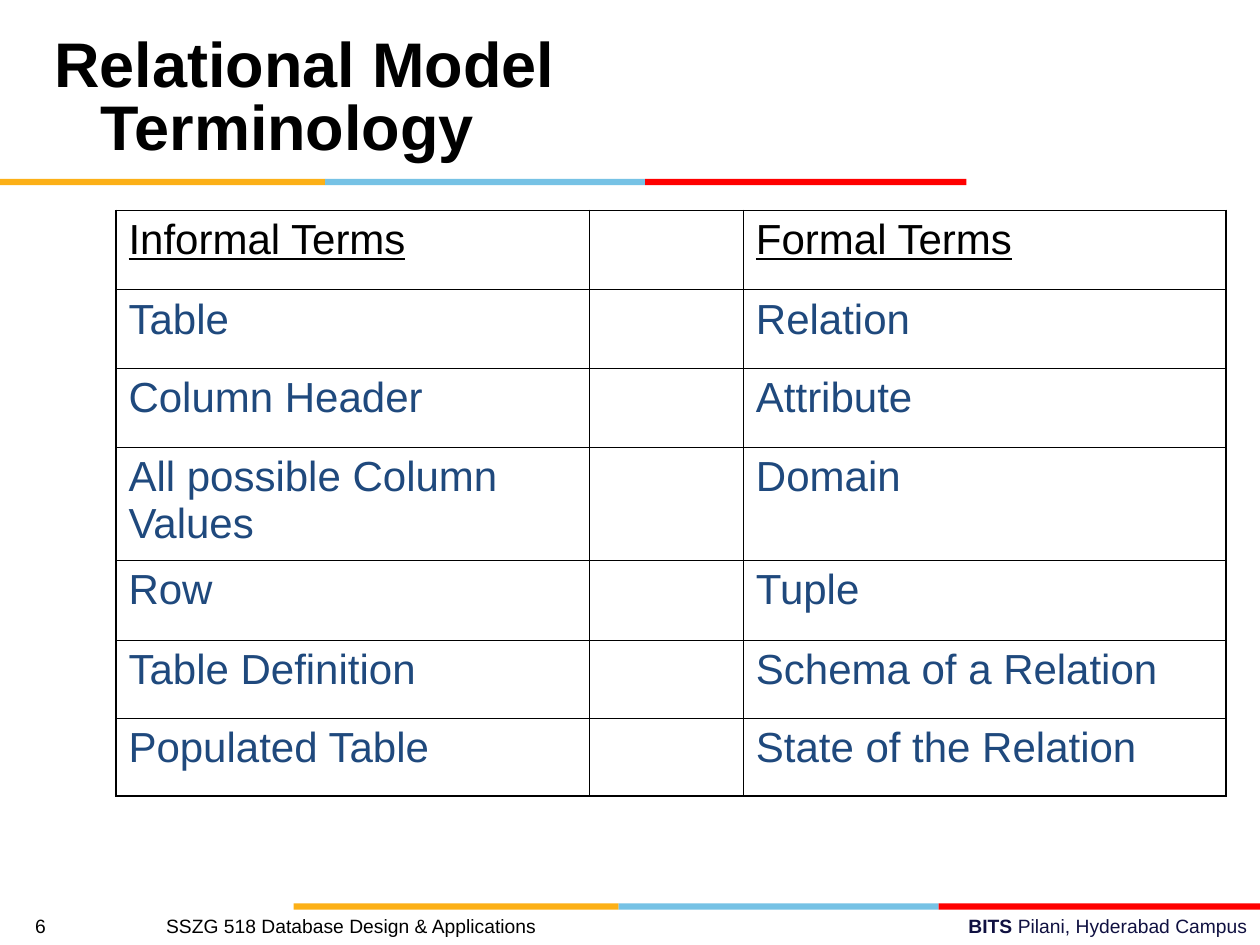
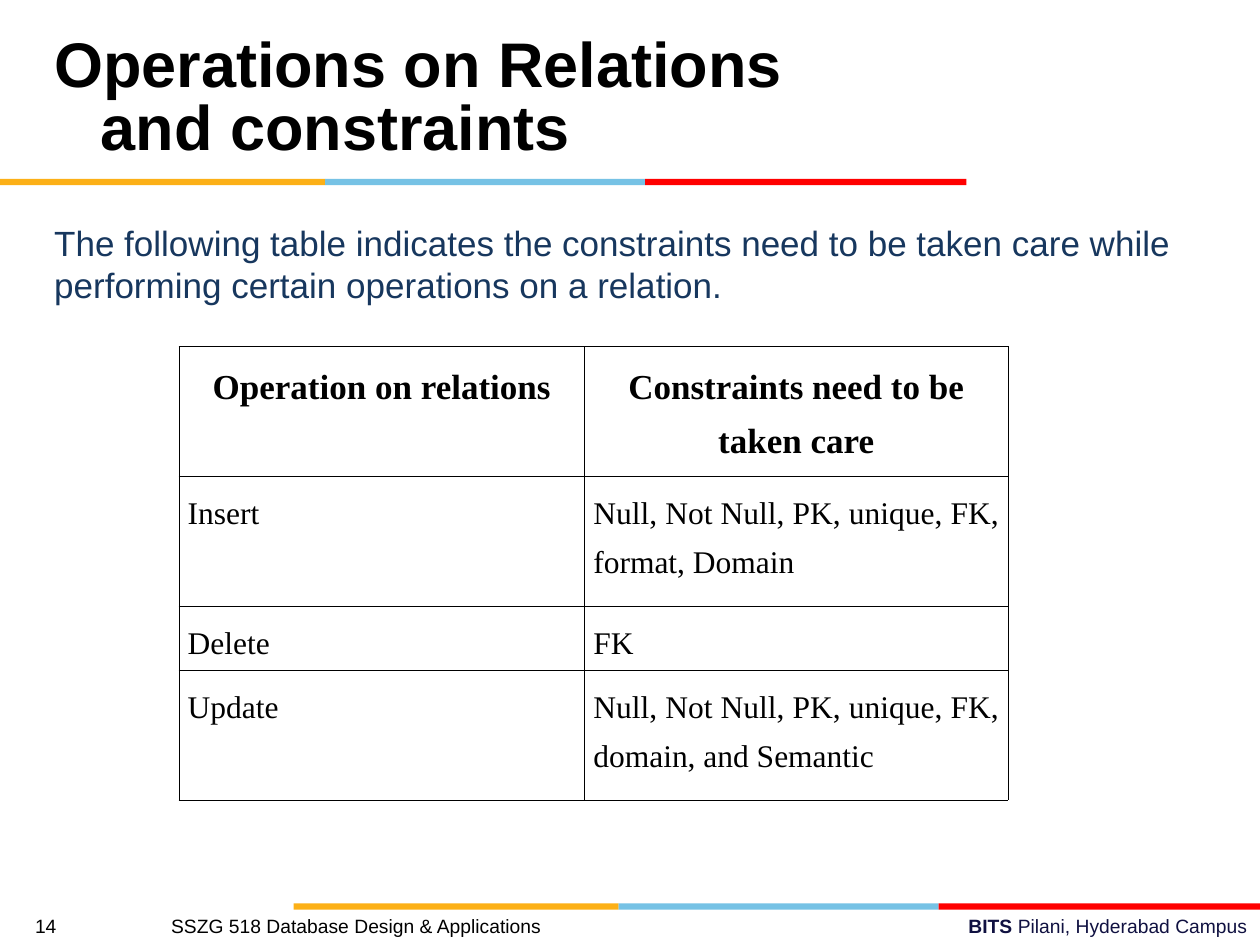
import pptx
import pptx.util
import pptx.dml.color
import pptx.enum.shapes
import pptx.enum.text
from lxml import etree

Inches, Pt = pptx.util.Inches, pptx.util.Pt
ALIGN = pptx.enum.text.PP_ALIGN
ANCHOR = pptx.enum.text.MSO_ANCHOR
A = "http://schemas.openxmlformats.org/drawingml/2006/main"

COLORS = {"black": "000000", "amber": "FCB017", "sky": "76C2E5", "red": "FF0000",
          "navy": "101141", "blue": "1F497D", "deep_blue": "17375E"}

COURSE = "SSZG 518 Database Design & Applications"
CAMPUS = [("BITS ", True), ("Pilani, Hyderabad Campus", False)]
BAND = [("amber", 2.58), ("sky", 2.54), ("red", 2.55)]
BAND_STARTS = [(0, 1.42), (2.33, 7.17)]

SLIDES = [
    dict(
        title="Relational Model Terminology", number="6", course_tab=1.04,
        table=dict(
            at=(0.92, 1.67), cols=[3.76, 1.22, 3.83],
            heights=[0.63, 0.62, 0.63, 0.9, 0.63, 0.62, 0.62],
            inset=0.1, outer=1.08,
            head=dict(size=24, underline=True),
            body=dict(size=24, color="blue"),
            rows=[("Informal Terms", "", "Formal Terms"),
                  ("Table", "", "Relation"),
                  ("Column Header", "", "Attribute"),
                  ("All possible Column Values", "", "Domain"),
                  ("Row", "", "Tuple"),
                  ("Table Definition", "", "Schema of a Relation"),
                  ("Populated Table", "", "State of the Relation")]),
    ),
    dict(
        title="Operations on Relations and constraints", number="14", course_tab=1.08,
        intro=["The following table indicates the constraints need to be taken care while",
               "performing certain operations on a relation."],
        table=dict(
            at=(1.42, 2.75), cols=[3.22, 3.36], heights=[1.03, 1.03, 0.51, 1.03],
            inset=0.07, outer=0.45,
            head=dict(size=20, bold=True, font="Times New Roman",
                      align=ALIGN.CENTER, line=1.4, after=2),
            body=dict(size=18, font="Times New Roman",
                      align=ALIGN.JUSTIFY, line=1.4, after=2),
            rows=[("Operation on relations", "Constraints need to be taken care"),
                  ("Insert", "Null, Not Null, PK, unique, FK, format, Domain"),
                  ("Delete", "FK"),
                  ("Update", "Null, Not Null, PK, unique, FK, domain, and Semantic")]),
    ),
]


def write(p, text, size=11, color="black", font="Arial", bold=False, underline=False,
          align=ALIGN.LEFT, line=None, after=0):
    """Append a formatted run to paragraph p and set the paragraph's spacing."""
    p.alignment = align
    p.space_before, p.space_after = Pt(0), Pt(after)
    if line:
        p.line_spacing = line
    r = p.add_run()
    r.text = text
    f = r.font
    f.name, f.size, f.bold, f.underline = font, Pt(size), bold, underline
    f.color.rgb = pptx.dml.color.RGBColor.from_string(COLORS[color])


def place(shape, left, top, width, height):
    shape.left, shape.top = Inches(left), Inches(top)
    shape.width, shape.height = Inches(width), Inches(height)


def frame(shape, anchor):
    tf = shape.text_frame
    tf.word_wrap = True
    tf.auto_size = pptx.enum.text.MSO_AUTO_SIZE.NONE
    tf.vertical_anchor = anchor
    return tf


def indent(p, left, first):
    pPr = p._p.get_or_add_pPr()
    pPr.set("marL", str(Inches(left)))
    pPr.set("indent", str(Inches(first)))
    return pPr


def add_title(s, text):
    place(s.shapes.title, 0.33, 0.17, 6.92, 1.25)
    p = frame(s.shapes.title, ANCHOR.MIDDLE).paragraphs[0]
    indent(p, 0.37, -0.37)
    write(p, text, size=36, bold=True, line=Pt(36))


def add_intro(s, lines):
    body = s.placeholders[1]
    place(body, 0.33, 1.71, 9.14, 0.77)
    tf = frame(body, ANCHOR.MIDDLE)
    for i, text in enumerate(lines):
        p = tf.add_paragraph() if i else tf.paragraphs[0]
        etree.SubElement(indent(p, 0, 0), f"{{{A}}}buNone")
        write(p, text, size=20, color="deep_blue", align=ALIGN.JUSTIFY)


def add_bands(s):
    for left, top in BAND_STARTS:
        for color, width in BAND:
            bar = s.shapes.add_shape(pptx.enum.shapes.MSO_SHAPE.RECTANGLE, Inches(left),
                                     Inches(top), Inches(width), Inches(0.05))
            bar.shadow.inherit = False
            bar.fill.solid()
            bar.fill.fore_color.rgb = pptx.dml.color.RGBColor.from_string(COLORS[color])
            bar.line.fill.background()
            left += width


def add_footer(s, number, course_tab):
    def footer_paragraph(left, width):
        box = s.shapes.add_textbox(Inches(left), Inches(7.21), Inches(width), Inches(0.29))
        return frame(box, ANCHOR.TOP).paragraphs[0]

    p = footer_paragraph(3.58, 6.42)
    for text, bold in CAMPUS:
        write(p, text, color="navy", bold=bold, align=ALIGN.RIGHT)
    p = footer_paragraph(0.18, 4.6)
    tabs = etree.SubElement(p._p.get_or_add_pPr(), f"{{{A}}}tabLst")
    etree.SubElement(tabs, f"{{{A}}}tab", pos=str(Inches(course_tab)), algn="l")
    write(p, f"{number}\t{COURSE}")


def set_borders(cell, widths):
    """Draw black borders; widths maps each side (L, R, T, B) to points."""
    tcPr = cell._tc.get_or_add_tcPr()
    for side, width in widths.items():
        ln = etree.SubElement(tcPr, f"{{{A}}}ln{side}", w=str(Pt(width)))
        fill = etree.SubElement(ln, f"{{{A}}}solidFill")
        etree.SubElement(fill, f"{{{A}}}srgbClr", val=COLORS["black"])


def add_terms_table(s, at, cols, heights, inset, outer, head, body, rows):
    table = s.shapes.add_table(len(rows), len(cols), Inches(at[0]), Inches(at[1]),
                               Inches(sum(cols)), Inches(sum(heights))).table
    table.first_row = table.horz_banding = False
    for column, width in zip(table.columns, cols):
        column.width = Inches(width)
    for i, texts in enumerate(rows):
        table.rows[i].height = Inches(heights[i])
        for j, text in enumerate(texts):
            cell = table.cell(i, j)
            cell.margin_left = cell.margin_right = Inches(inset)
            on_edge = {"L": j == 0, "R": j == len(cols) - 1,
                       "T": i == 0, "B": i == len(rows) - 1}
            set_borders(cell, {k: outer if edge else 0.45 for k, edge in on_edge.items()})
            cell.fill.background()
            if text:
                write(cell.text_frame.paragraphs[0], text, **(body if i else head))


def main():
    prs = pptx.Presentation()
    prs.slide_width, prs.slide_height = Inches(10), Inches(7.5)
    title_and_content, title_only = prs.slide_layouts[1], prs.slide_layouts[5]
    for content in SLIDES:
        s = prs.slides.add_slide(title_and_content if "intro" in content else title_only)
        add_bands(s)
        add_title(s, content["title"])
        if "intro" in content:
            add_intro(s, content["intro"])
        add_terms_table(s, **content["table"])
        add_footer(s, content["number"], content["course_tab"])
    prs.save("out.pptx")


if __name__ == "__main__":
    main()
